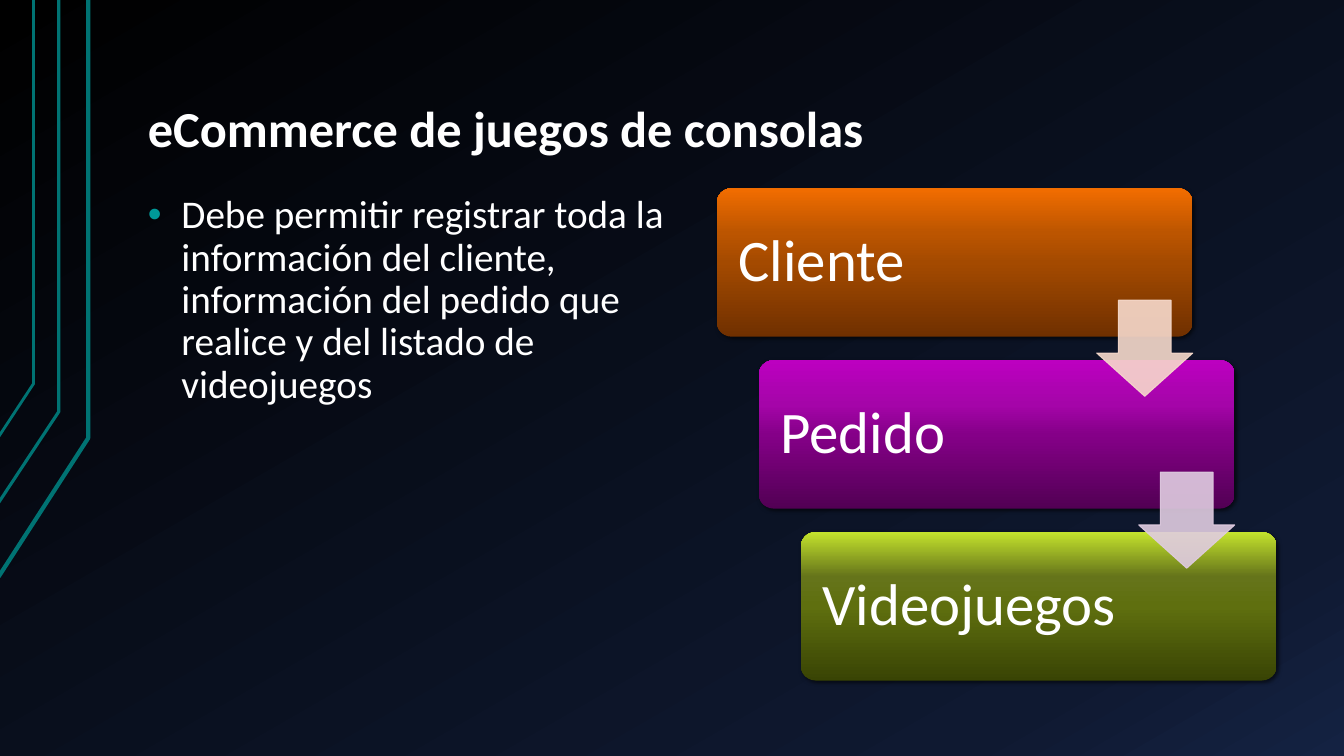
from dataclasses import dataclass

import lxml.etree
import pptx
import pptx.dml.color
import pptx.enum.shapes
import pptx.enum.text
import pptx.oxml
import pptx.oxml.ns
import pptx.presentation
import pptx.shapes.autoshape
import pptx.slide
import pptx.text.text
import pptx.util

Pt = pptx.util.Pt
qn = pptx.oxml.ns.qn

FONT = "Calibri"
COLORS = {
    "text": "FFFFFF",
    "bullet": "009999",
    "rail": "007373",
    "shadow": "000000",
    "client_arrow": "F7DACC",
    "order_arrow": "E0CCE1",
}
BACKGROUND_STOPS = {0: "000000", 85: "0F1931", 100: "142242"}

CARD_LEFT, CARD_TOP = 512, 134.5
CARD_WIDTH, CARD_HEIGHT = 340, 106
STEP_X, STEP_Y = 30, 122.8
ARROW_SIZE = 68.6
ARROW_DROP = 80


@dataclass(frozen=True)
class Rail:
    """A line falling from the top edge, then bending out to the left edge."""
    x: float
    bend_y: float
    end_x: float
    end_y: float
    weight: float


@dataclass(frozen=True)
class Stage:
    label: str
    stops: dict[int, str]
    arrow_color: str | None = None


RAILS = [
    Rail(63.4, 313, -0.7, 412, 3),
    Rail(41.8, 294, -1.4, 359, 2.25),
    Rail(24.5, 274, -0.7, 312.5, 2),
]
STAGES = [
    Stage("Cliente", {0: "703000", 50: "A44A00", 70: "BC5500", 100: "F26D00"}, "client_arrow"),
    Stage("Pedido", {0: "520054", 50: "850088", 70: "A505A9", 100: "BC00C0"}, "order_arrow"),
    Stage("Videojuegos", {0: "394404", 50: "5F6F0F", 70: "65741A", 100: "C4E32D"}),
]


def rgb(name: str) -> pptx.dml.color.RGBColor:
    return pptx.dml.color.RGBColor.from_string(COLORS[name])


def set_gradient(properties: lxml.etree._Element, stops: dict[int, str], angle: int) -> None:
    """Replace the solid fill in properties by a linear gradient (clockwise angle)."""
    gradient = lxml.etree.Element(qn("a:gradFill"), rotWithShape="1")
    stop_list = lxml.etree.SubElement(gradient, qn("a:gsLst"))
    for position, color in stops.items():
        stop = lxml.etree.SubElement(stop_list, qn("a:gs"), pos=str(position * 1000))
        lxml.etree.SubElement(stop, qn("a:srgbClr"), val=color)
    lxml.etree.SubElement(gradient, qn("a:lin"), ang=str(angle * 60000), scaled="0")
    properties.replace(properties.find(qn("a:solidFill")), gradient)


def add_shadow(shape: pptx.shapes.autoshape.Shape) -> None:
    effects = shape.element.spPr.find(qn("a:effectLst"))
    shadow = lxml.etree.SubElement(
        effects, qn("a:outerShdw"), blurRad=str(Pt(3)), dist=str(Pt(2)),
        dir=str(45 * 60000), algn="ctr", rotWithShape="0")
    color = lxml.etree.SubElement(shadow, qn("a:srgbClr"), val=COLORS["shadow"])
    lxml.etree.SubElement(color, qn("a:alpha"), val="60000")


def set_text(frame: pptx.text.text.TextFrame, text: str, size: float,
             anchor: pptx.enum.text.MSO_ANCHOR, inset_x: float, inset_y: float,
             bold: bool = False) -> None:
    frame.text = text
    frame.word_wrap = True
    frame.auto_size = pptx.enum.text.MSO_AUTO_SIZE.NONE
    frame.vertical_anchor = anchor
    frame.margin_left = frame.margin_right = Pt(inset_x)
    frame.margin_top = frame.margin_bottom = Pt(inset_y)
    paragraph = frame.paragraphs[0]
    paragraph.alignment = pptx.enum.text.PP_ALIGN.LEFT
    paragraph.line_spacing = 0.9
    font = paragraph.runs[0].font
    font.name, font.size, font.bold = FONT, Pt(size), bold
    font.color.rgb = rgb("text")


def add_bullet(paragraph: pptx.text.text._Paragraph) -> None:
    properties = paragraph._p.get_or_add_pPr()
    properties.set("marL", str(Pt(24)))
    properties.set("indent", str(Pt(-24)))
    color = lxml.etree.SubElement(properties, qn("a:buClr"))
    lxml.etree.SubElement(color, qn("a:srgbClr"), val=COLORS["bullet"])
    lxml.etree.SubElement(properties, qn("a:buFont"), typeface="Arial")
    lxml.etree.SubElement(properties, qn("a:buChar"), char="•")


def add_rail(slide: pptx.slide.Slide, rail: Rail) -> None:
    builder = slide.shapes.build_freeform(rail.end_x, rail.end_y, scale=float(Pt(1)))
    builder.add_line_segments([(rail.x, rail.bend_y), (rail.x, 0)], close=False)
    line = builder.convert_to_shape()
    line.shadow.inherit = False
    line.fill.background()
    line.line.color.rgb = rgb("rail")
    line.line.width = Pt(rail.weight)


def add_card(slide: pptx.slide.Slide, stage: Stage, left: float, top: float) -> None:
    card = slide.shapes.add_shape(
        pptx.enum.shapes.MSO_SHAPE.ROUNDED_RECTANGLE,
        Pt(left), Pt(top), Pt(CARD_WIDTH), Pt(CARD_HEIGHT))
    card.adjustments[0] = 0.1
    card.shadow.inherit = False
    card.fill.solid()
    set_gradient(card.element.spPr, stage.stops, 270)
    card.line.fill.background()
    add_shadow(card)
    set_text(card.text_frame, stage.label, 42, pptx.enum.text.MSO_ANCHOR.MIDDLE, 12.5, 12.5)


def add_arrow(slide: pptx.slide.Slide, color: str, left: float, top: float) -> None:
    arrow = slide.shapes.add_shape(
        pptx.enum.shapes.MSO_SHAPE.DOWN_ARROW,
        Pt(left), Pt(top), Pt(ARROW_SIZE), Pt(ARROW_SIZE))
    arrow.adjustments[0], arrow.adjustments[1] = 0.55, 0.45
    arrow.shadow.inherit = False
    arrow.fill.solid()
    arrow.fill.fore_color.rgb = rgb(color)
    arrow.line.color.rgb = rgb(color)
    arrow.line.width = Pt(0.75)
    for tint in arrow.element.spPr.iter(qn("a:srgbClr")):
        lxml.etree.SubElement(tint, qn("a:alpha"), val="90000")


def main() -> None:
    presentation = pptx.Presentation()
    presentation.slide_width, presentation.slide_height = Pt(960), Pt(540)
    slide = presentation.slides.add_slide(presentation.slide_layouts.get_by_name("Title Only"))
    slide.background.fill.solid()
    set_gradient(next(slide.element.iter(qn("p:bgPr"))), BACKGROUND_STOPS, 60)

    for rail in RAILS:
        add_rail(slide, rail)

    title = slide.shapes.title
    title.left, title.top, title.width, title.height = Pt(96), Pt(21.6), Pt(816), Pt(96.5)
    set_text(title.text_frame, "eCommerce de juegos de consolas", 36,
             pptx.enum.text.MSO_ANCHOR.BOTTOM, 9.6, 4.8, bold=True)

    requirement = slide.shapes.add_textbox(Pt(96), Pt(134.5), Pt(400), Pt(351))
    set_text(requirement.text_frame,
             "Debe permitir registrar toda la información del cliente, información del "
             "pedido que realice y del listado de videojuegos",
             28, pptx.enum.text.MSO_ANCHOR.TOP, 9.6, 4.8)
    requirement.text_frame.paragraphs[0].space_before = Pt(16)
    add_bullet(requirement.text_frame.paragraphs[0])

    corners = [(CARD_LEFT + i * STEP_X, CARD_TOP + i * STEP_Y) for i in range(len(STAGES))]
    for stage, (left, top) in zip(STAGES, corners):
        add_card(slide, stage, left, top)
    for stage, (left, top) in zip(STAGES, corners):
        if stage.arrow_color:
            add_arrow(slide, stage.arrow_color, left + CARD_WIDTH - ARROW_SIZE, top + ARROW_DROP)

    presentation.save("out.pptx")


if __name__ == "__main__":
    main()
